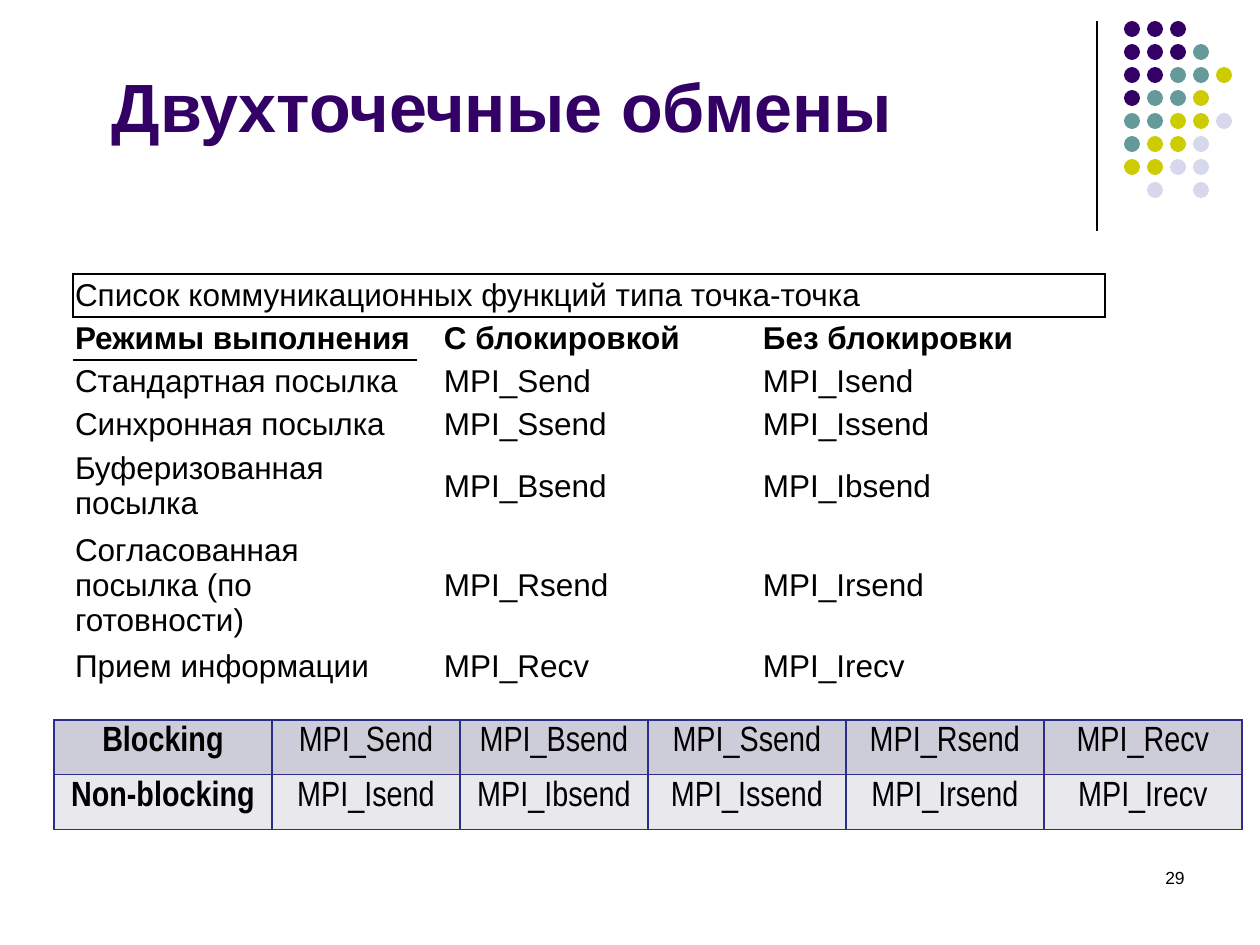
import pptx
import pptx.dml.color
import pptx.enum.shapes
import pptx.enum.text
import pptx.oxml.ns
import pptx.util
from lxml import etree

SCALE = 914400 / 126  # EMU in one px
COLORS = {
    "black": "000000", "violet": "330066", "teal": "669999", "olive": "CCCC00",
    "lavender": "D8D8EC", "border": "2D2D8A", "header": "CDCDDA", "band": "E8E8ED",
}
ALIGN = pptx.enum.text.PP_ALIGN
ANCHOR = pptx.enum.text.MSO_ANCHOR
NO_TABLE_STYLE = "{2D5ABB26-0587-4C30-8999-92F81FD0307C}"

# One letter per dot, by row; a space leaves the place empty
DOT_ROWS = ["vvv", "vvvt", "vvtto", "vtto", "ttool", "tool", "ooll", " l l"]
DOT_COLORS = {"v": "violet", "t": "teal", "o": "olive", "l": "lavender"}

MODES = [
    ["Список коммуникационных функций типа точка-точка", "", ""],
    ["Режимы выполнения", "С блокировкой", "Без блокировки"],
    ["Стандартная посылка", "MPI_Send", "MPI_Isend"],
    ["Синхронная посылка", "MPI_Ssend", "MPI_Issend"],
    ["Буферизованная посылка", "MPI_Bsend", "MPI_Ibsend"],
    ["Согласованная посылка (по готовности)", "MPI_Rsend", "MPI_Irsend"],
    ["Прием информации", "MPI_Recv", "MPI_Irecv"],
]
FUNCTIONS = [
    ["Blocking", "MPI_Send", "MPI_Bsend", "MPI_Ssend", "MPI_Rsend", "MPI_Recv"],
    ["Non-blocking", "MPI_Isend", "MPI_Ibsend", "MPI_Issend", "MPI_Irsend", "MPI_Irecv"],
]


def px(length):
    return pptx.util.Emu(round(length * SCALE))


def rgb(name):
    return pptx.dml.color.RGBColor.from_string(COLORS[name])


class SlideBuilder:
    def __init__(self, slide):
        self.slide = slide

    def style_text(self, paragraph, size, font="Arial", color="black", bold=False, align=ALIGN.LEFT):
        paragraph.alignment = align
        for run in paragraph.runs:
            run.font.name = font
            run.font.size = pptx.util.Pt(size)
            run.font.bold = bold
            run.font.color.rgb = rgb(color)

    def text(self, content, left, top, width, height, size, anchor=ANCHOR.TOP, **style):
        box = self.slide.shapes.add_textbox(px(left), px(top), px(width), px(height))
        frame = box.text_frame
        frame.word_wrap = True
        frame.vertical_anchor = anchor
        frame.text = content
        self.style_text(frame.paragraphs[0], size, **style)

    def line(self, x1, y1, x2, y2, width):
        connector = self.slide.shapes.add_connector(
            pptx.enum.shapes.MSO_CONNECTOR.STRAIGHT, px(x1), px(y1), px(x2), px(y2))
        connector.line.color.rgb = rgb("black")
        connector.line.width = pptx.util.Pt(width)
        etree.SubElement(connector._element.spPr, pptx.oxml.ns.qn("a:effectLst"))

    def dots(self, left, top, pitch, diameter):
        group = self.slide.shapes.add_group_shape()
        for row, letters in enumerate(DOT_ROWS):
            for column, letter in enumerate(letters):
                if letter == " ":
                    continue
                dot = group.shapes.add_shape(
                    pptx.enum.shapes.MSO_SHAPE.OVAL, px(left + column * pitch),
                    px(top + row * pitch), px(diameter), px(diameter))
                dot.shadow.inherit = False
                dot.fill.solid()
                dot.fill.fore_color.rgb = rgb(DOT_COLORS[letter])
                dot.line.fill.background()

    def table(self, rows, left, top, widths, heights):
        frame = self.slide.shapes.add_table(
            len(rows), len(widths), px(left), px(top), px(sum(widths)), px(sum(heights)))
        table = frame.table
        table.first_row = table.horz_banding = False
        table._tbl.tblPr.find(pptx.oxml.ns.qn("a:tableStyleId")).text = NO_TABLE_STYLE
        for column, width in zip(table.columns, widths):
            column.width = px(width)
        for row, height in zip(table.rows, heights):
            row.height = px(height)
        return table

    def cell(self, cell, content, size, fill=None, margins=None, indent=0,
             borders="", border_color="black", anchor=ANCHOR.TOP, **style):
        properties = cell._tc.get_or_add_tcPr()
        for side in borders:
            line = etree.SubElement(properties, pptx.oxml.ns.qn(f"a:ln{side}"), w="12700")
            solid = etree.SubElement(line, pptx.oxml.ns.qn("a:solidFill"))
            etree.SubElement(solid, pptx.oxml.ns.qn("a:srgbClr"), val=COLORS[border_color])
        if fill:
            cell.fill.solid()
            cell.fill.fore_color.rgb = rgb(fill)
        else:
            cell.fill.background()
        if margins is not None:
            cell.margin_left = cell.margin_right = px(margins)
            cell.margin_top = cell.margin_bottom = px(margins)
        cell.vertical_anchor = anchor
        cell.text = content
        paragraph = cell.text_frame.paragraphs[0]
        if indent:
            paragraph._p.get_or_add_pPr().set("marL", str(px(indent)))
            paragraph._p.get_or_add_pPr().set("indent", "0")
        self.style_text(paragraph, size, **style)


def main():
    presentation = pptx.Presentation()
    presentation.slide_width, presentation.slide_height = px(1260), px(945)
    builder = SlideBuilder(presentation.slides.add_slide(presentation.slide_layouts[6]))

    # Corner ornament
    builder.line(1097, 21, 1097, 231, 0.75)
    builder.dots(1124, 21, pitch=23, diameter=16)

    # Title and slide number
    builder.text("Двухточечные обмены", 99, 35, 927, 117, 39,
                 anchor=ANCHOR.BOTTOM, color="violet", bold=True)
    builder.text("29", 903, 861, 294, 63, 10, align=ALIGN.RIGHT)

    # Send modes: a framed heading row, then column heads
    modes = builder.table(MODES, 73, 274, [344] * 3, [43] * 4 + [81, 118, 43])
    modes.cell(0, 0).merge(modes.cell(0, 2))
    for i, row in enumerate(MODES):
        for j, content in enumerate(row):
            borders = "LRTB" if i == 0 else "B" if (i, j) == (1, 0) else ""
            builder.cell(modes.cell(i, j), content, 18, margins=2, borders=borders,
                         indent=25 if j == 1 else 0, anchor=ANCHOR.MIDDLE, bold=i == 1)

    # Blocking and non-blocking functions
    functions = builder.table(FUNCTIONS, 54, 720, [218] + [188] * 2 + [198] * 3, [54] * 2)
    for i, row in enumerate(FUNCTIONS):
        for j, content in enumerate(row):
            builder.cell(functions.cell(i, j), content, 20, fill=("header", "band")[i],
                         borders="LRTB", border_color="border", font="Arial Narrow",
                         bold=j == 0, align=ALIGN.CENTER)

    presentation.save("out.pptx")


if __name__ == "__main__":
    main()
